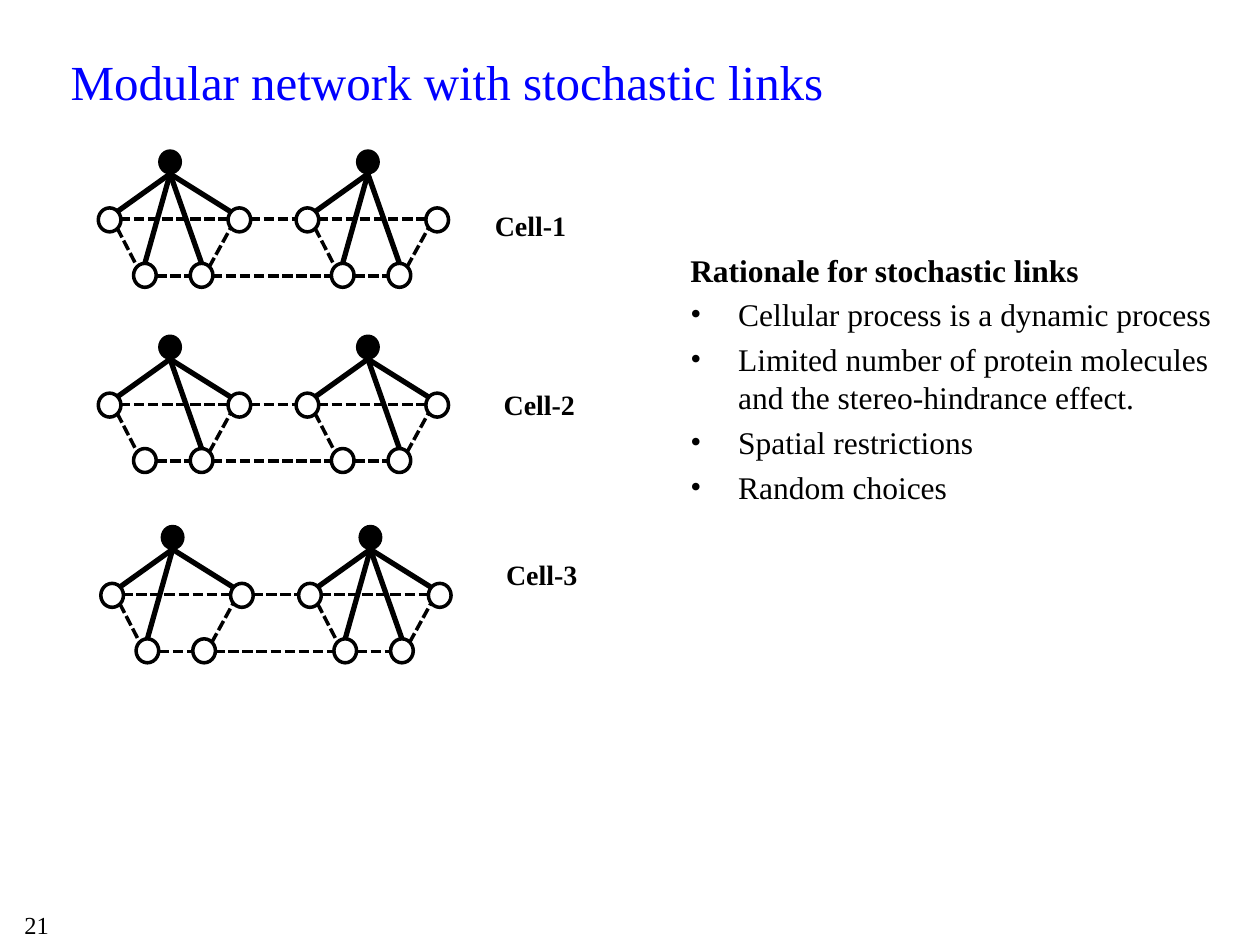
from lxml.etree import SubElement
from pptx import Presentation
from pptx.dml.color import RGBColor
from pptx.enum.dml import MSO_LINE
from pptx.enum.shapes import MSO_CONNECTOR, MSO_SHAPE
from pptx.enum.text import MSO_ANCHOR, PP_ALIGN
from pptx.oxml.ns import qn
from pptx.util import Inches, Pt

FONT = "Times New Roman"
BLACK, BLUE = "000000", "0000FF"
TITLE = "Modular network with stochastic links"
HEADING = "Rationale for stochastic links"
REASONS = [
    "Cellular process is a dynamic process",
    "Limited number of protein molecules and the stereo-hindrance effect.",
    "Spatial restrictions",
    "Random choices",
]
CELLS = [
    {"label": "Cell-1", "label_at": (3.82, 1.61), "hub": (1.35, 1.38),
     "links": [("left", "low left", "low right", "right"), ("left", "low left", "low right")]},
    {"label": "Cell-2", "label_at": (3.89, 3.03), "hub": (1.35, 2.85),
     "links": [("left", "low right", "right"), ("left", "low right", "right")]},
    {"label": "Cell-3", "label_at": (3.91, 4.38), "hub": (1.37, 4.36),
     "links": [("left", "low left", "right"), ("left", "low left", "low right", "right")]},
]
MODULE_PITCH = 1.57
NODE_WIDTH, NODE_HEIGHT = 0.18, 0.19
NODES = [(0.16, 0.71), (-0.29, 0.71), (-0.57, 0.27), (0.46, 0.27)]
HUB_LINK_ENDS = {"left": (-0.42, 0.3), "low left": (-0.2, 0.71),
                 "low right": (0.25, 0.71), "right": (0.48, 0.3)}
RING_LINKS = [((0.31, 0.74), (0.48, 0.43)), ((-0.11, 0.81), (0.16, 0.81)),
              ((-0.4, 0.36), (0.46, 0.36)), ((-0.42, 0.43), (-0.26, 0.74))]
BRIDGES = [((0.63, 0.36), (1.0, 0.36)), ((0.33, 0.81), (1.28, 0.81))]


def color(hex_string):
    return RGBColor.from_string(hex_string)


def format_runs(paragraph, size, hex_string=BLACK, bold=False):
    for run in paragraph.runs:
        run.font.name, run.font.size, run.font.bold = FONT, Pt(size), bold
        run.font.color.rgb = color(hex_string)


def add_label(slide, text, left, top, width, height, size, bold=False):
    frame = slide.shapes.add_textbox(*map(Inches, (left, top, width, height))).text_frame
    frame.text = text
    frame.paragraphs[0].alignment = PP_ALIGN.CENTER
    format_runs(frame.paragraphs[0], size, bold=bold)
    return frame


def add_node(slide, left, top, filled=False):
    shape = slide.shapes.add_shape(
        MSO_SHAPE.OVAL, *map(Inches, (left, top, NODE_WIDTH, NODE_HEIGHT)))
    shape.shadow.inherit = False
    if filled:
        shape.fill.solid()
        shape.fill.fore_color.rgb = color(BLACK)
    else:
        shape.fill.background()
    shape.line.color.rgb = color(BLACK)
    shape.line.width = Pt(0.75 if filled else 2)


def add_link(slide, origin, start, end, dashed=True):
    x, y = origin
    connector = slide.shapes.add_connector(
        MSO_CONNECTOR.STRAIGHT, Inches(x + start[0]), Inches(y + start[1]),
        Inches(x + end[0]), Inches(y + end[1]))
    connector.line.color.rgb = color(BLACK)
    connector.line.width = Pt(2 if dashed else 3)
    if dashed:
        connector.line.dash_style = MSO_LINE.SQUARE_DOT
    properties = connector.line._get_or_add_ln().getparent()
    SubElement(properties, qn("a:effectLst"))


def add_module(slide, hub, links):
    x, y = hub
    add_node(slide, x - NODE_WIDTH / 2, y - NODE_HEIGHT, filled=True)
    for dx, dy in NODES:
        add_node(slide, x + dx, y + dy)
    for name in links:
        add_link(slide, hub, (0, 0), HUB_LINK_ENDS[name], dashed=False)
    for start, end in RING_LINKS:
        add_link(slide, hub, start, end)


def add_cell(slide, cell):
    x, y = cell["hub"]
    for index, links in enumerate(cell["links"]):
        add_module(slide, (x + index * MODULE_PITCH, y), links)
    for start, end in BRIDGES:
        add_link(slide, cell["hub"], start, end)
    add_label(slide, cell["label"], *cell["label_at"], 0.78, 0.37, 16, bold=True)


def add_title(slide):
    title = slide.shapes.title
    title.left, title.top, title.width, title.height = map(Inches, (0.46, 0.22, 8.5, 1.25))
    frame = title.text_frame
    frame.text = TITLE
    frame.vertical_anchor = MSO_ANCHOR.TOP
    frame.margin_top = Inches(0.19)
    frame.paragraphs[0].alignment = PP_ALIGN.LEFT
    format_runs(frame.paragraphs[0], 28, BLUE)


def add_rationale(slide):
    frame = slide.shapes.add_textbox(*map(Inches, (5.38, 1.94, 4.62, 3.02))).text_frame
    frame.word_wrap = True
    frame.text = "\n".join([HEADING, *REASONS])
    for index, paragraph in enumerate(frame.paragraphs):
        paragraph.space_before = Pt(4)
        format_runs(paragraph, 18, bold=index == 0)
        properties = paragraph._p.get_or_add_pPr()
        properties.set("marL", str(Inches(0.38)))
        properties.set("indent", str(-Inches(0.38)))
        if index:
            SubElement(properties, qn("a:buFont"), typeface=FONT)
            SubElement(properties, qn("a:buChar"), char="•")


def main():
    """Build the modular network slide."""
    presentation = Presentation()
    presentation.slide_width, presentation.slide_height = Inches(10), Inches(7.5)
    slide = presentation.slides.add_slide(presentation.slide_layouts[5])
    add_title(slide)
    add_rationale(slide)
    for cell in CELLS:
        add_cell(slide, cell)
    add_label(slide, "21", -0.45, 7.17, 1.48, 0.33, 14).word_wrap = True
    presentation.save("out.pptx")


if __name__ == "__main__":
    main()
